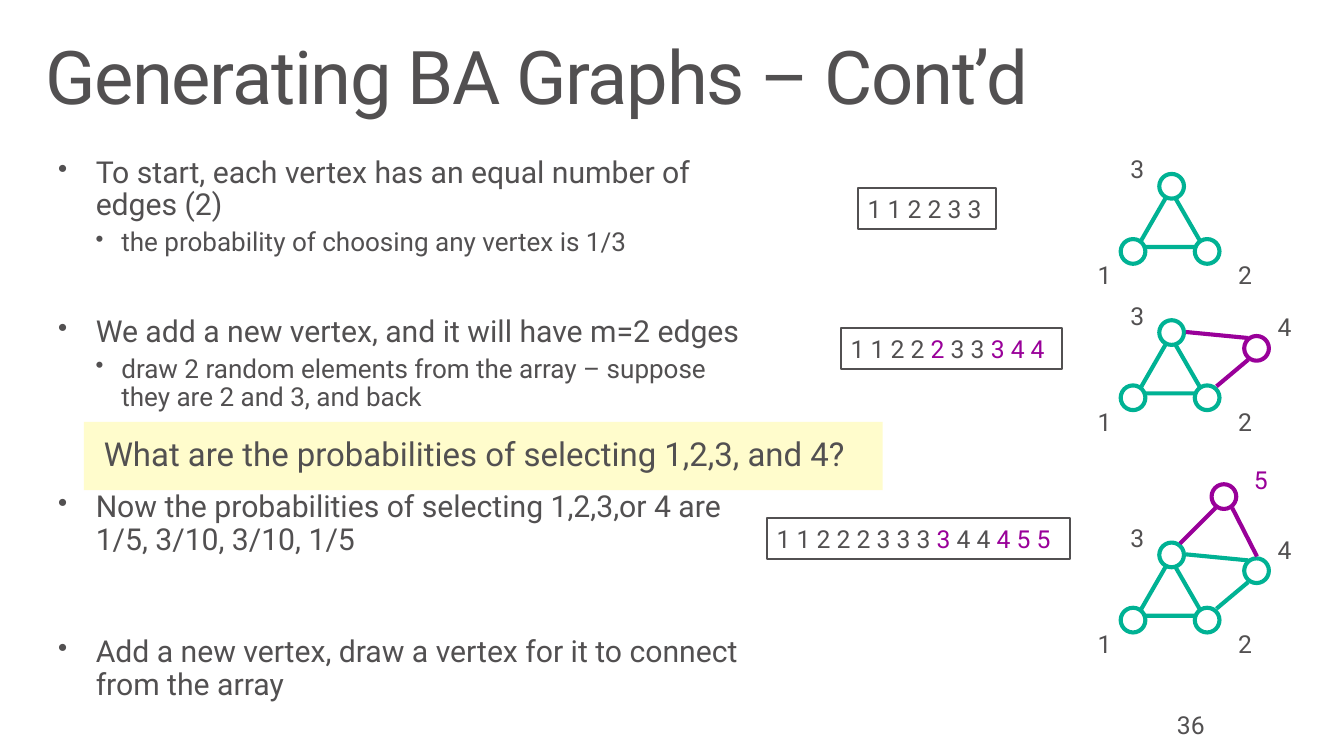
"""Build the slide on generating BA graphs step by step."""
from dataclasses import dataclass

from lxml.etree import SubElement
from pptx import Presentation
from pptx.dml.color import RGBColor
from pptx.enum.shapes import MSO_CONNECTOR, MSO_SHAPE
from pptx.enum.text import MSO_ANCHOR, PP_ALIGN
from pptx.oxml.ns import qn
from pptx.shapes.autoshape import Shape
from pptx.util import Pt

COLORS = {"ink": "525051", "old": "00B294", "new": "990099", "paper": "FFFFFF", "note": "FFFCCC"}
FONT = "Roboto"
RING = 18
BULLET_INDENTS = ((27.4, -27.4), (46.1, -18.7))
Point = tuple[float, float]
Runs = list[tuple[str, str]]


@dataclass(frozen=True)
class Vertex:
    ring: Point
    label: Point
    edges: tuple[tuple[Point, Point], ...] = ()
    label_color: str = "ink"


@dataclass(frozen=True)
class Step:
    top: float
    vertex_count: int
    array_box: tuple[float, float, float]
    array: Runs


@dataclass(frozen=True)
class Bullet:
    text: str
    level: int = 0
    before: float = 5


VERTICES = (
    Vertex((816.5, 47.5), (792.7, 59.4)),
    Vertex((870.5, 47.5), (895, 59.4)),
    Vertex((844.6, 0), (816.5, -18)),
    Vertex((906.5, 11.5), (923.8, -9.4),
           (((886.3, 48.2), (909.4, 28.8)), ((864, 8.6), (909.4, 13)))),
    Vertex((882.7, -42.5), (906.5, -60.5),
           (((859.7, 0.7), (885.6, -25.2)), ((915.8, 10.1), (897.8, -25.2))), "new"),
)

STEPS = (
    Step(126.7, 3, (625, 136.8, 100.8), [("1 1 2 2 3 3", "ink")]),
    Step(233.3, 4, (612.7, 239, 161.3),
         [("1 1 2 2 ", "ink"), ("2", "new"), (" 3 3 ", "ink"), ("3 4 4", "new")]),
    Step(395.3, 5, (558.7, 377.3, 221),
         [("1 1 2 2 2 3 3 3 ", "ink"), ("3", "new"), (" 4 4", "ink"), (" 4 5 5", "new")]),
)

BULLETS = (
    Bullet("To start, each vertex has an equal number of edges (2)", before=0),
    Bullet("the probability of choosing any vertex is 1/3", 1),
    Bullet("We add a new vertex, and it will have m=2 edges", before=43),
    Bullet("draw 2 random elements from the array – suppose they are 2 and 3, and back", 1),
    Bullet("Now the probabilities of selecting 1,2,3,or 4 are \n1/5, 3/10, 3/10, 1/5", before=58),
    Bullet("Add a new vertex, draw a vertex for it to connect from the array", before=58),
)

presentation = Presentation()
presentation.slide_width, presentation.slide_height = Pt(979.2), Pt(550.8)
slide = presentation.slides.add_slide(presentation.slide_layouts[6])


def rgb(name: str) -> RGBColor:
    return RGBColor.from_string(COLORS[name])


def write(shape: Shape, runs: Runs, *, size: float = 18, line_spacing: float | None = None,
          before: float = 0, bullet_level: int | None = None, tracking: int = 0,
          wrap: bool = False, middle: bool = False, insets: Point = (7.2, 3.6)) -> None:
    frame = shape.text_frame
    frame.word_wrap = wrap
    frame.vertical_anchor = MSO_ANCHOR.MIDDLE if middle else MSO_ANCHOR.TOP
    frame.margin_left = frame.margin_right = Pt(insets[0])
    frame.margin_top = frame.margin_bottom = Pt(insets[1])
    paragraph = frame.add_paragraph() if frame.text else frame.paragraphs[0]
    paragraph.alignment = PP_ALIGN.LEFT
    paragraph.line_spacing = line_spacing
    paragraph.space_before = Pt(before)
    for text, color in runs:
        for index, line in enumerate(text.split("\n")):
            if index:
                paragraph.add_line_break()
            run = paragraph.add_run()
            run.text = line
            run.font.name, run.font.size = FONT, Pt(size)
            run.font.color.rgb = rgb(color)
            if tracking:
                run.font._element.set("spc", str(tracking))
    if bullet_level is not None:
        properties = paragraph._p.get_or_add_pPr()
        margin, indent = BULLET_INDENTS[bullet_level]
        properties.set("lvl", str(bullet_level))
        properties.set("marL", str(Pt(margin)))
        properties.set("indent", str(Pt(indent)))
        SubElement(properties, qn("a:buSzPct")).set("val", "90000")
        SubElement(properties, qn("a:buChar")).set("char", "•")


def add_text_box(left: float, top: float, width: float, height: float) -> Shape:
    return slide.shapes.add_textbox(Pt(left), Pt(top), Pt(width), Pt(height))


def add_outline(kind: MSO_SHAPE, left: float, top: float, width: float, height: float, *,
                fill: str | None = None, line: str | None = None, weight: float = 3) -> Shape:
    shape = slide.shapes.add_shape(kind, Pt(left), Pt(top), Pt(width), Pt(height))
    shape.shadow.inherit = False
    if fill:
        shape.fill.solid()
        shape.fill.fore_color.rgb = rgb(fill)
    else:
        shape.fill.background()
    if line:
        shape.line.color.rgb = rgb(line)
        shape.line.width = Pt(weight)
    else:
        shape.line.fill.background()
    return shape


def add_edge(start: Point, end: Point, top: float, color: str) -> None:
    edge = slide.shapes.add_connector(MSO_CONNECTOR.STRAIGHT, Pt(start[0]), Pt(top + start[1]),
                                      Pt(end[0]), Pt(top + end[1]))
    edge.line.color.rgb = rgb(color)
    edge.line.width = Pt(3)
    SubElement(edge._element.spPr, qn("a:effectLst"))


def draw_step(step: Step) -> None:
    add_outline(MSO_SHAPE.ISOSCELES_TRIANGLE, 828.7, step.top + 11.5, 48.2, 41.8, line="old")
    for number, vertex in enumerate(VERTICES[:step.vertex_count], 1):
        color = "new" if vertex.edges and number == step.vertex_count else "old"
        add_outline(MSO_SHAPE.OVAL, vertex.ring[0], step.top + vertex.ring[1], RING, RING,
                    fill="paper", line=color)
        for start, end in vertex.edges:
            add_edge(start, end, step.top, color)
        label = add_text_box(vertex.label[0], step.top + vertex.label[1], 24.5, 28.8)
        write(label, [(str(number), vertex.label_color)])
    left, top, width = step.array_box
    array = add_outline(MSO_SHAPE.RECTANGLE, left, top, width, 30.2, line="ink", weight=1.5)
    write(array, step.array, middle=True)


title = add_text_box(21.6, 23, 936, 72)
write(title, [("Generating BA Graphs – Cont’d", "ink")], size=54, line_spacing=0.9,
      tracking=-100, wrap=True, middle=True, insets=(11.5, 7.2))

explanation = add_text_box(33.8, 110.2, 525.6, 422)
for bullet in BULLETS:
    write(explanation, [(bullet.text, "ink")], size=(22, 19)[bullet.level], line_spacing=0.9,
          before=bullet.before, bullet_level=bullet.level, wrap=True, insets=(8.6, 4.3))

page_number = add_text_box(848.9, 512.6, 81.4, 38.2)
write(page_number, [("36", "ink")], wrap=True, insets=(8.6, 4.3))

for graph_step in STEPS:
    draw_step(graph_step)

question = add_outline(MSO_SHAPE.RECTANGLE, 61.2, 307.4, 581.8, 49.7, fill="note")
write(question, [("What are the probabilities of selecting 1,2,3, and 4?", "ink")], size=24,
      line_spacing=0.9, middle=True, insets=(14.4, 11.5))

presentation.save("out.pptx")
